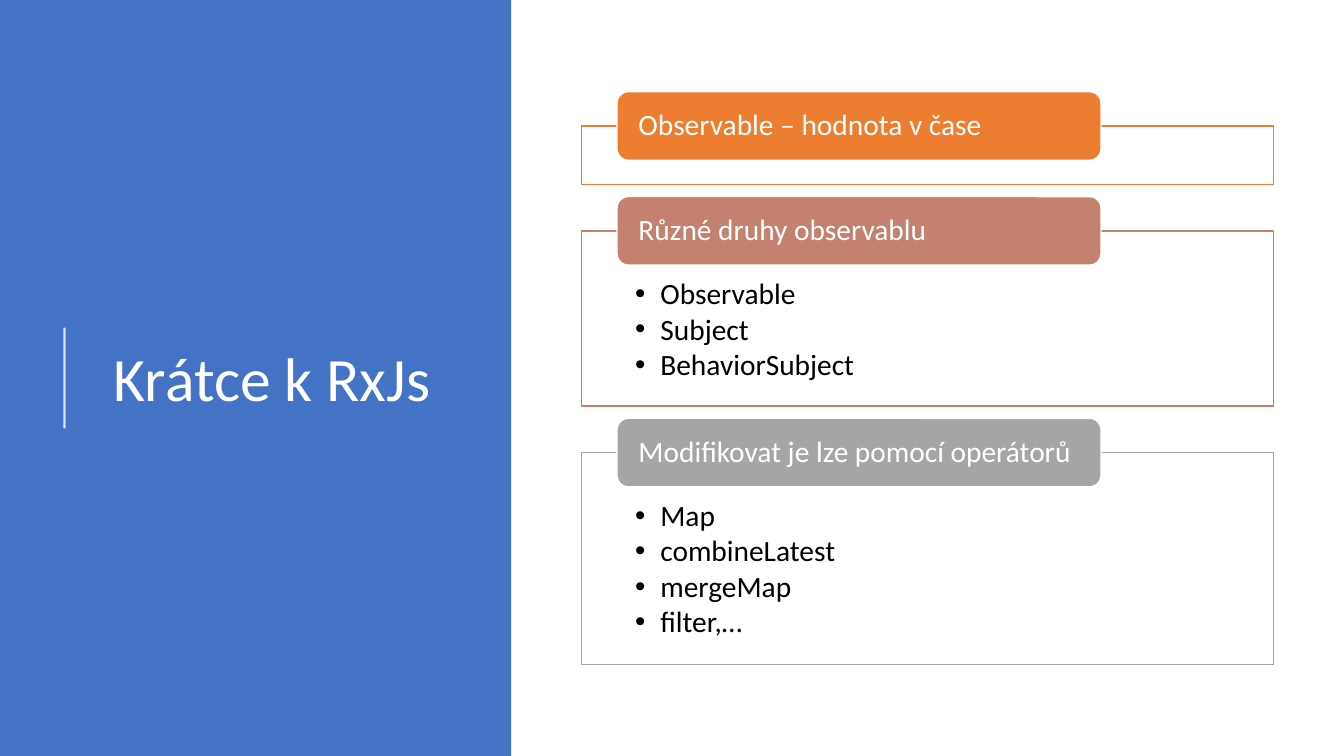
from lxml import etree
from pptx import Presentation, util as u
from pptx.dml.color import RGBColor
from pptx.enum import shapes, text
from pptx.oxml.ns import qn

FONT = "Calibri"
WHITE, BLUE = "FFFFFF", "4472C4"
TAB_RISE, SECTION_GAP = 0.34, 0.12
SECTIONS = [
    ("Observable – hodnota v čase", [], "ED7D31", 0.58),
    ("Různé druhy observablu", ["Observable", "Subject", "BehaviorSubject"], "C48170", 1.74),
    ("Modifikovat je lze pomocí operátorů", ["Map", "combineLatest", "mergeMap", "filter,…"], "A5A5A5", 2.1),
]


def paint(fill, color, alpha=None):
    """Apply a solid hex colour, with an optional opacity in percent."""
    fill.solid()
    fill.fore_color.rgb = RGBColor.from_string(color)
    if alpha is not None:
        clr = fill._xPr.find(qn("a:solidFill"))[0]
        etree.SubElement(clr, qn("a:alpha"), val=str(alpha * 1000))


def add_box(s, kind, box, fill, line=None, alpha=None):
    """Draw a filled preset shape with an optional one-point outline."""
    sp = s.shapes.add_shape(kind, *map(u.Inches, box))
    sp.shadow.inherit = False
    paint(sp.fill, fill, alpha)
    if line:
        paint(sp.line.fill, line)
        sp.line.width = u.Pt(1)
    else:
        sp.line.fill.background()
    return sp


def write(sp, lines, size, color, insets=(0.1, 0.05, 0.1, 0.05),
          anchor=text.MSO_ANCHOR.MIDDLE, after=0, bullet=None):
    """Fill a shape with left-aligned paragraphs."""
    tf = sp.text_frame
    tf.word_wrap = True
    tf.vertical_anchor = anchor
    tf.margin_left, tf.margin_top, tf.margin_right, tf.margin_bottom = map(u.Inches, insets)
    for i, line in enumerate(lines):
        p = tf.add_paragraph() if i else tf.paragraphs[0]
        p.alignment = text.PP_ALIGN.LEFT
        p.line_spacing = 0.9
        p.space_after = u.Pt(after)
        if bullet:
            pPr = p._p.get_or_add_pPr()
            pPr.set("marL", str(u.Inches(0.25)))
            pPr.set("indent", str(u.Inches(-0.25)))
            etree.SubElement(pPr, qn("a:buFont"), typeface="Arial")
            etree.SubElement(pPr, qn("a:buChar"), char=bullet)
        r = p.add_run()
        r.text = line
        r.font.name, r.font.size = FONT, u.Pt(size)
        r.font.color.rgb = RGBColor.from_string(color)


def add_title(s, title):
    """Place the title on a blue side panel with a thin accent line."""
    panel = add_box(s, shapes.MSO_SHAPE.RECTANGLE, (0, 0, 5.07, 7.5), BLUE)
    sp = s.shapes.title
    sp._element.addprevious(panel._element)
    sp.left, sp.top, sp.width, sp.height = map(u.Inches, (1.03, 0.78, 3.69, 6.02))
    write(sp, [title], 44, WHITE)
    accent = s.shapes.add_connector(
        shapes.MSO_CONNECTOR.STRAIGHT, *map(u.Inches, (0.64, 4.25, 0.64, 3.25)))
    paint(accent.line.fill, WHITE, 80)
    accent.line.width = u.Pt(1.5)
    etree.SubElement(accent._element.spPr, qn("a:effectLst"))


def add_section(s, top, heading, items, color, height):
    """Draw an outlined list with its heading tab and return its bottom edge."""
    frame_top = top + TAB_RISE
    frame = add_box(s, shapes.MSO_SHAPE.RECTANGLE, (5.77, frame_top, 6.86, height),
                    WHITE, color, 90)
    write(frame, items, 21, "000000", (0.53, 0.48, 0.53, 0.16),
          text.MSO_ANCHOR.TOP, 2.7, "•")
    tab = add_box(s, shapes.MSO_SHAPE.ROUNDED_RECTANGLE, (6.12, top, 4.8, 0.68), color, WHITE)
    write(tab, [heading], 21, WHITE, (0.18, 0, 0.18, 0))
    return frame_top + height


def main():
    """Build and save the slide."""
    prs = Presentation()
    prs.slide_width, prs.slide_height = u.Inches(13.33), u.Inches(7.5)
    s = prs.slides.add_slide(prs.slide_layouts[5])
    add_title(s, "Krátce k RxJs")
    top = 0.91
    for section in SECTIONS:
        top = add_section(s, top, *section) + SECTION_GAP
    prs.save("out.pptx")


if __name__ == "__main__":
    main()
